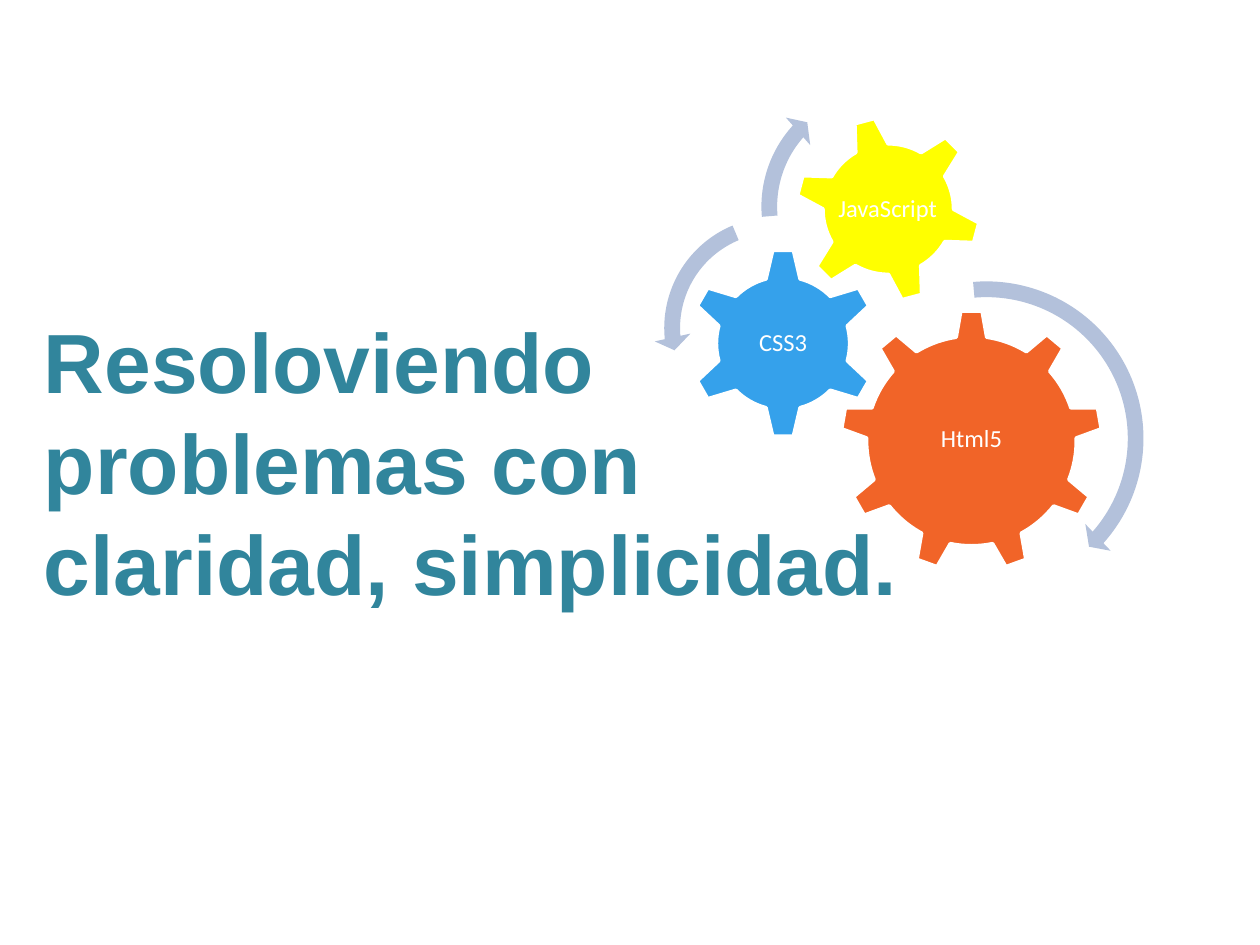
from dataclasses import dataclass
from pptx import Presentation, util as u
from pptx.dml.color import RGBColor
from pptx.enum import shapes, text

KIND = shapes.MSO_SHAPE


@dataclass(frozen=True)
class Theme:
    """Colours, fonts and type sizes of the slide."""
    white: str = "FFFFFF"
    teal: str = "31859C"
    arrow: str = "B3C1DB"
    orange: str = "F16428"
    blue: str = "35A1EB"
    yellow: str = "FFFF00"
    head: str = "Arial"
    body: str = "Calibri"
    big: int = 48
    small: int = 14


THEME = Theme()


def paint(shape, color):
    """Give a shape a plain fill without line or shadow."""
    shape.shadow.inherit = False
    shape.fill.solid()
    shape.fill.fore_color.rgb = RGBColor.from_string(color)
    shape.line.fill.background()


def write(shapes_in, box, words, font, size, color, bold=False):
    """Add a text box and return its text frame."""
    frame = shapes_in.add_textbox(*map(u.Inches, box)).text_frame
    frame.word_wrap = True
    frame.text = words
    face = frame.paragraphs[0].runs[0].font
    face.name, face.size, face.bold = font, u.Pt(size), bold
    face.color.rgb = RGBColor.from_string(color)
    return frame


def add_gear(group, kind, box, color, label, area, turn=0):
    """Add a gear and an upright label, whose area is relative to the gear."""
    left, top, side = box
    gear = group.shapes.add_shape(kind, *map(u.Inches, (left, top, side, side)))
    paint(gear, color)
    gear.line.color.rgb = RGBColor.from_string(THEME.white)
    gear.line.width = u.Pt(2)
    gear.rotation = turn
    dx, dy, width, height = area
    frame = write(group.shapes, (left + dx, top + dy, width, height),
                  label, THEME.body, THEME.small, THEME.white)
    frame.word_wrap = False
    frame.vertical_anchor = text.MSO_ANCHOR.MIDDLE
    for edge in ("left", "top", "right", "bottom"):
        setattr(frame, "margin_" + edge, u.Inches(0.02))
    para = frame.paragraphs[0]
    para.alignment = text.PP_ALIGN.CENTER
    para.line_spacing = 0.9


def add_arc(group, kind, box, bends):
    """Add a curved arrow in a square box."""
    left, top, side = box
    arc = group.shapes.add_shape(kind, *map(u.Inches, (left, top, side, side)))
    for index, bend in enumerate(bends):
        arc.adjustments[index] = bend
    paint(arc, THEME.arrow)


def add_gears(slide, left, top):
    """Place the three gears and their arrows from the given corner."""
    group = slide.shapes.add_group_shape()
    gears = (
        (KIND.GEAR_9, (1.48, 1.86, 2.08), THEME.orange, "Html5",
         (0.42, 0.49, 1.24, 1.07), 0),
        (KIND.GEAR_6, (0.27, 1.37, 1.51), THEME.blue, "CSS3",
         (0.38, 0.38, 0.75, 0.75), 0),
        (KIND.GEAR_6, (1.12, 0.32, 1.48), THEME.yellow, "JavaScript",
         (0.32, 0.33, 0.83, 0.83), 345),
    )
    arcs = (
        (KIND.CIRCULAR_ARROW, (1.31, 1.55, 2.66),
         (0.04688, 2.99, 24.957, 159.062, 0.055)),
        (KIND.LEFT_CIRCULAR_ARROW, (0, 1.04, 1.93),
         (0.065, 4.3, 104.891, 148.378, 0.075)),
        (KIND.CIRCULAR_ARROW, (0.77, 0, 2.08),
         (0.06, 3.941, 133.138, 105.082, 0.07)),
    )
    for kind, (dx, dy, side), *rest in gears:
        add_gear(group, kind, (left + dx, top + dy, side), *rest)
    for kind, (dx, dy, side), bends in arcs:
        add_arc(group, kind, (left + dx, top + dy, side), bends)


def add_claim(slide, box):
    """Place the large claim in the given box."""
    frame = write(slide.shapes, box,
                  "Resoloviendo problemas con claridad, simplicidad.",
                  THEME.head, THEME.big, THEME.teal, True)
    frame.auto_size = text.MSO_AUTO_SIZE.SHAPE_TO_FIT_TEXT


def main():
    """Build and save the slide."""
    deck = Presentation()
    deck.slide_width, deck.slide_height = u.Inches(10), u.Inches(7.5)
    slide = deck.slides.add_slide(deck.slide_layouts[6])
    add_gears(slide, 5.19, 0.6)
    add_claim(slide, (0.25, 2.41, 7.09, 2.52))
    deck.save("out.pptx")


main()
